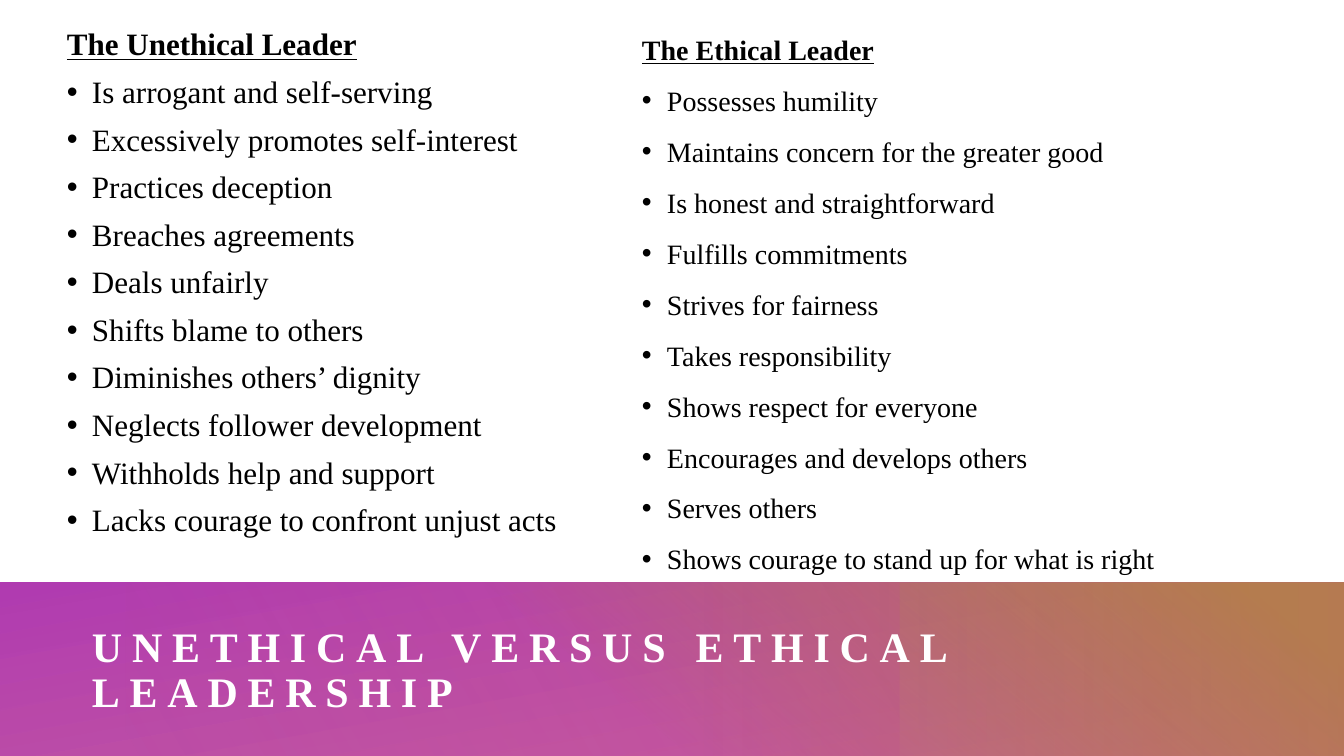
from lxml import etree
from pptx import Presentation
from pptx.dml.color import RGBColor
from pptx.enum.shapes import MSO_SHAPE
from pptx.enum.text import MSO_ANCHOR, MSO_AUTO_SIZE, PP_ALIGN
from pptx.oxml.ns import qn
from pptx.util import Emu, Pt

RECTANGLE = MSO_SHAPE.RECTANGLE
TOP, MIDDLE = MSO_ANCHOR.TOP, MSO_ANCHOR.MIDDLE
NO_FIT = MSO_AUTO_SIZE.NONE
LEFT = PP_ALIGN.LEFT

WIDTH, HEIGHT = 1344, 756
BAND_TOP = 583
BAND_HEIGHT = HEIGHT - BAND_TOP
GOLD_LEFT = 446
INDENT = 25

PINK, PURPLE, GOLD = "C34D91", "B13BB1", "B18B3B"
BLACK, WHITE = "000000", "FFFFFF"

# Left, width, rotation, clockwise gradient angle, stops (position, colour, opacity)
BAND_LAYERS = [
    (0, WIDTH, 0, 260, [(0, PINK, 88), (100, PURPLE, 100)]),
    (GOLD_LEFT, WIDTH - GOLD_LEFT, 0, 310, [(22, GOLD, 0), (91, GOLD, 100)]),
    (126, 773, 180, 330, [(0, PINK, 30), (99, PINK, 0)]),
    (GOLD_LEFT, WIDTH - GOLD_LEFT, 180, 0, [(0, PINK, 26), (72, PINK, 0)]),
]

# Left, width, text size, line spacing, heading, bullet lines
COLUMNS = [
    (67, 563, 22.2, 0.9, "The Unethical Leader", [
        "Is arrogant and self-serving",
        "Excessively promotes self-interest",
        "Practices deception",
        "Breaches agreements",
        "Deals unfairly",
        "Shifts blame to others",
        "Diminishes others’ dignity",
        "Neglects follower development",
        "Withholds help and support",
        "Lacks courage to confront unjust acts",
    ]),
    (642, 587, 20, 1.1, "The Ethical Leader", [
        "Possesses humility",
        "Maintains concern for the greater good",
        "Is honest and straightforward",
        "Fulfills commitments",
        "Strives for fairness",
        "Takes responsibility",
        "Shows respect for everyone",
        "Encourages and develops others",
        "Serves others",
        "Shows courage to stand up for what is right",
    ]),
]


def px(length):
    return Emu(round(length * 914400 / 100.8))


def colour(value):
    return RGBColor.from_string(value)


def apply(target, values):
    for name, value in values.items():
        setattr(target, name, value)


class SlideBuilder:
    font_name = "Times New Roman"

    def __init__(self, slide):
        self.slide = slide

    def gradient_layer(self, left, width, rotation, angle, stops):
        layer = self.slide.shapes.add_shape(
            RECTANGLE, px(left), px(BAND_TOP), px(width), px(BAND_HEIGHT))
        layer.rotation = rotation
        layer.shadow.inherit = False
        layer.line.fill.background()
        layer.fill.gradient()
        layer.fill.gradient_angle = (360 - angle) % 360
        for stop, (position, value, _) in zip(layer.fill.gradient_stops, stops):
            stop.color.rgb = colour(value)
            stop.position = position / 100
        # Opacity of each stop
        for node, (_, _, opacity) in zip(layer.element.iter(qn("a:srgbClr")), stops):
            etree.SubElement(node, qn("a:alpha"), val=str(opacity * 1000))

    def frame(self, box, anchor):
        apply(box.text_frame, {
            "word_wrap": True, "auto_size": NO_FIT, "vertical_anchor": anchor,
            "margin_left": 0, "margin_right": 0, "margin_top": 0, "margin_bottom": 0})
        return box.text_frame

    def add_span(self, para, text, size, value, **formats):
        span = para.add_run()
        span.text = text
        apply(span.font, {"name": self.font_name, "size": Pt(size), **formats})
        span.font.color.rgb = colour(value)
        return span

    def title(self, text, left, top, width, height):
        box = self.slide.shapes.title
        apply(box, {"left": px(left), "top": px(top),
                    "width": px(width), "height": px(height)})
        para = self.frame(box, MIDDLE).paragraphs[0]
        apply(para, {"alignment": LEFT, "line_spacing": 0.9})
        span = self.add_span(para, text, 30, WHITE, bold=True)
        span._r.get_or_add_rPr().set("spc", "700")
        # Bring the title in front of the band
        self.slide.shapes.element.append(box.element)

    def bullet(self, para):
        properties = para._p.get_or_add_pPr()
        properties.set("marL", str(px(INDENT)))
        properties.set("indent", str(-px(INDENT)))
        etree.SubElement(properties, qn("a:buFont"), typeface="Arial")
        etree.SubElement(properties, qn("a:buChar"), char="•")

    def column(self, left, width, size, spacing, heading, lines):
        box = self.slide.shapes.add_textbox(px(left), px(29), px(width), px(543))
        frame = self.frame(box, TOP)
        para = frame.paragraphs[0]
        para.line_spacing = spacing
        self.add_span(para, heading, size, BLACK, bold=True, underline=True)
        for line in lines:
            para = frame.add_paragraph()
            self.bullet(para)
            apply(para, {"line_spacing": spacing, "space_before": Pt(10)})
            self.add_span(para, line, size, BLACK)


def main():
    deck = Presentation()
    deck.slide_width, deck.slide_height = px(WIDTH), px(HEIGHT)
    page = SlideBuilder(deck.slides.add_slide(deck.slide_layouts[5]))

    # Coloured band with the title
    for layer in BAND_LAYERS:
        page.gradient_layer(*layer)
    page.title("UNETHICAL VERSUS ETHICAL LEADERSHIP", 92, 623, 1167, 97)

    # Two lists side by side
    for column in COLUMNS:
        page.column(*column)

    deck.save("out.pptx")


if __name__ == "__main__":
    main()
